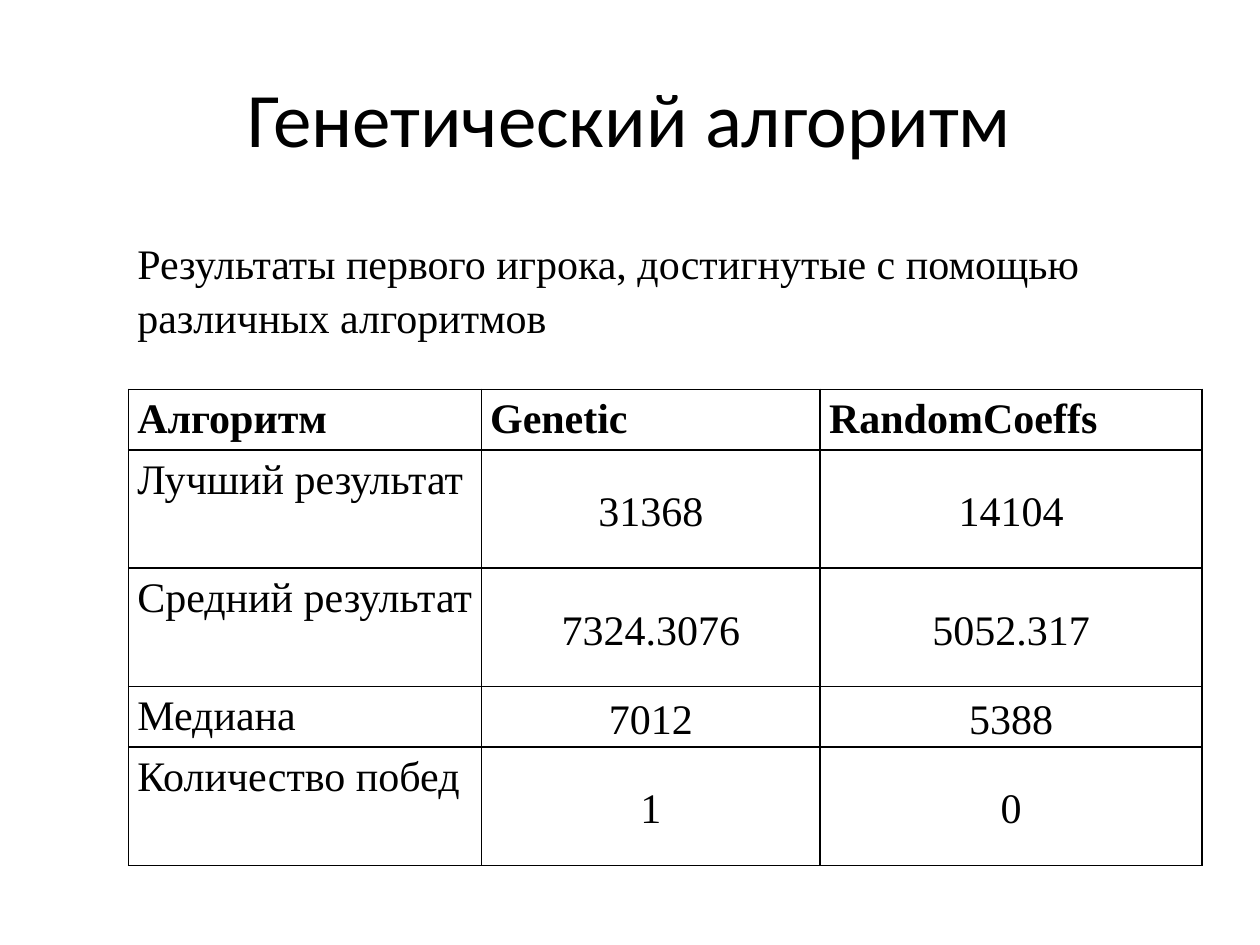
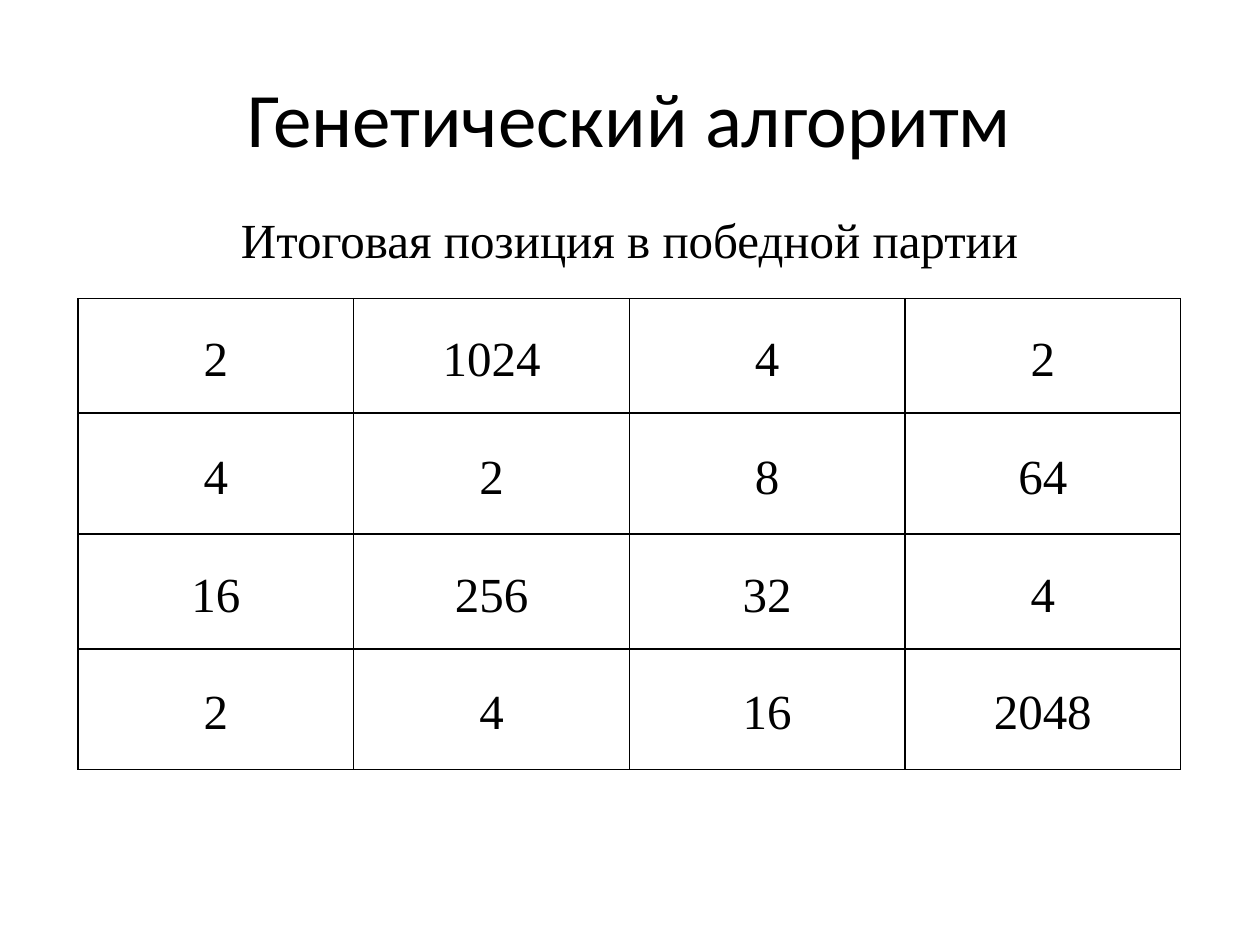
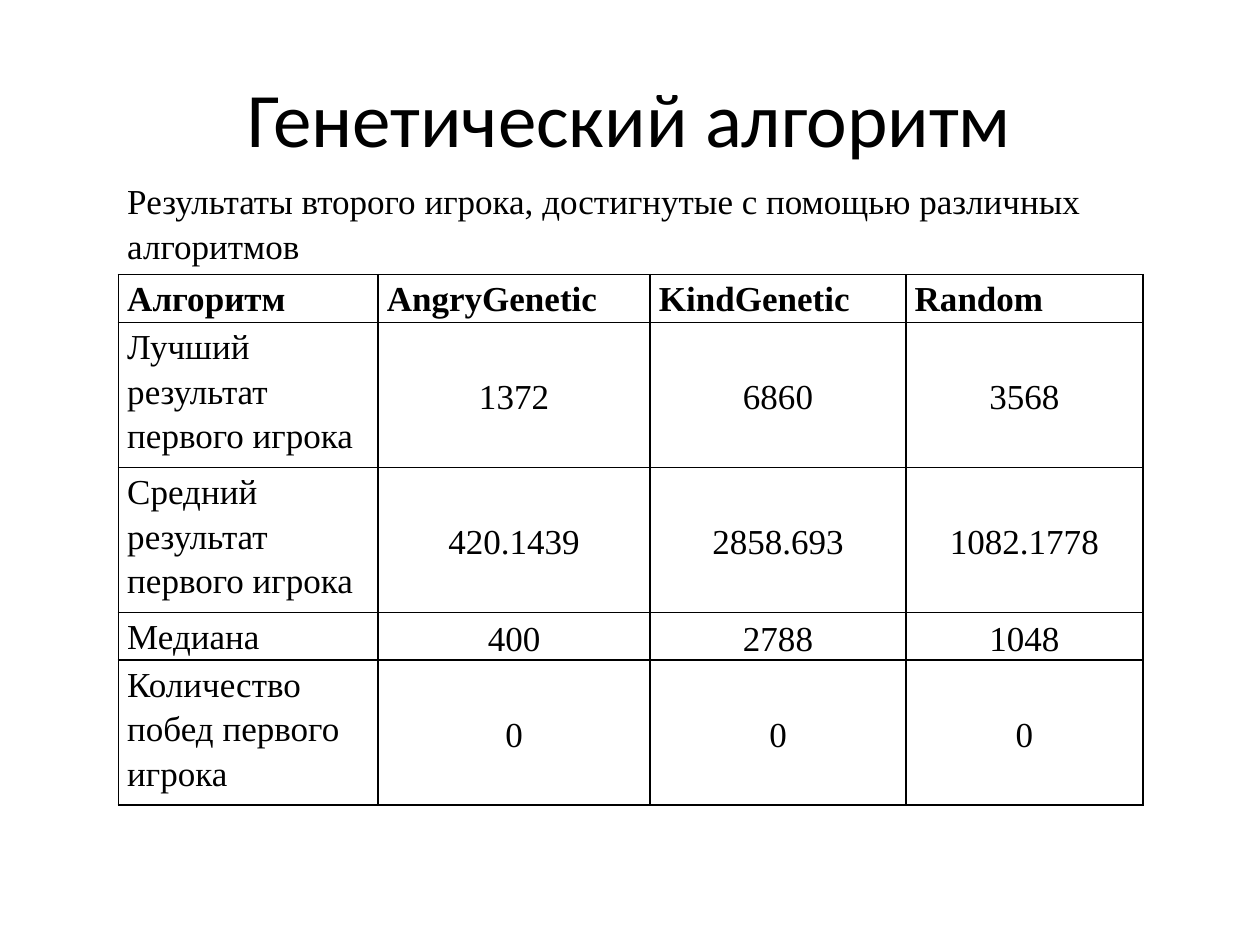
from lxml import etree
from pptx import Presentation
from pptx import util as u
from pptx.dml.color import RGBColor
from pptx.enum import text
from pptx.oxml.ns import qn

BLACK = "000000"
TITLE = "Генетический алгоритм"
NO_GRID_STYLE = "{2D5ABB26-0587-4C30-8999-92F81FD0307C}"


def rgb(color):
    return RGBColor.from_string(color)


def set_attrs(obj, values):
    for name, value in values.items():
        setattr(obj, name, value)


class Deck:
    """Holds the shared style and the current slide."""

    title_font = {"name": "Calibri", "size": u.Pt(44), "bold": False}
    table_font = "Times New Roman"
    margins = {"margin_left": u.Inches(0.07), "margin_right": u.Inches(0.07),
               "margin_top": 0, "margin_bottom": 0}

    def __init__(self):
        self.prs = Presentation()
        set_attrs(self.prs, {"slide_width": u.Inches(10), "slide_height": u.Inches(7.5)})

    def slide(self, title):
        self.s = self.prs.slides.add_slide(self.prs.slide_layouts[5])
        sp = self.s.shapes.title
        set_attrs(sp, {"left": u.Inches(0.5), "top": u.Inches(0.3),
                       "width": u.Inches(9), "height": u.Inches(1.25)})
        tf = sp.text_frame
        tf.text = title
        tf.vertical_anchor = text.MSO_ANCHOR.MIDDLE
        p = tf.paragraphs[0]
        p.alignment = text.PP_ALIGN.CENTER
        self.font(p.runs[0], self.title_font)

    def font(self, r, values):
        set_attrs(r.font, values)
        r.font.color.rgb = rgb(BLACK)

    def borders(self, cell, drawn):
        tc_pr = cell._tc.get_or_add_tcPr()
        for i, side in enumerate("LRTB"):
            ln = etree.Element(qn(f"a:ln{side}"), w=str(u.Pt(1)))
            if side in drawn:
                fill = etree.SubElement(ln, qn("a:solidFill"))
                etree.SubElement(fill, qn("a:srgbClr"), val=BLACK)
            else:
                etree.SubElement(ln, qn("a:noFill"))
            tc_pr.insert(i, ln)

    def cell(self, cell, value, size, bold=False, centred=False):
        set_attrs(cell, self.margins)
        cell.vertical_anchor = text.MSO_ANCHOR.MIDDLE if centred else text.MSO_ANCHOR.TOP
        p = cell.text_frame.paragraphs[0]
        set_attrs(p, {"line_spacing": 1.15,
                      "alignment": text.PP_ALIGN.CENTER if centred else text.PP_ALIGN.LEFT})
        r = p.add_run()
        r.text = value
        self.font(r, {"name": self.table_font, "size": u.Pt(size), "bold": bold})

    def table(self, left, top, widths, heights, caption, rows, size, headed=True):
        frame = self.s.shapes.add_table(
            len(heights), len(widths), u.Inches(left), u.Inches(top),
            u.Inches(sum(widths)), u.Inches(sum(heights)))
        table = frame.table
        set_attrs(table, {"first_row": False, "horz_banding": False})
        table._tbl.tblPr.find(qn("a:tableStyleId")).text = NO_GRID_STYLE
        for column, width in zip(table.columns, widths):
            column.width = u.Inches(width)
        for row, height in zip(table.rows, heights):
            row.height = u.Inches(height)
        for i, row in enumerate(table.rows):
            for cell in row.cells:
                cell.fill.background()
                self.borders(cell, "LRTB" if i else "B")
        table.cell(0, 0).merge(table.cell(0, len(widths) - 1))
        self.cell(table.cell(0, 0), caption, size, centred=not headed)
        for i, row in enumerate(rows):
            header = headed and i == 0
            for j, value in enumerate(row):
                label = headed and (header or j == 0)
                self.cell(table.cell(i + 1, j), value, size, header, not label)


def main():
    deck = Deck()

    deck.slide(TITLE)
    deck.table(
        1.02, 1.87, [2.8, 2.69, 3.03], [1.22, 0.48, 0.94, 0.94, 0.48, 0.94],
        "Результаты первого игрока, достигнутые с помощью различных алгоритмов",
        [["Алгоритм", "Genetic", "RandomCoeffs"],
         ["Лучший результат", "31368", "14104"],
         ["Средний результат", "7324.3076", "5052.317"],
         ["Медиана", "7012", "5388"],
         ["Количество побед", "1", "0"]], 24)

    deck.slide(TITLE)
    deck.table(
        0.62, 1.41, [8.75 / 4] * 4, [0.96, 0.91, 0.96, 0.91, 0.96],
        "Итоговая позиция в победной партии",
        [["2", "1024", "4", "2"],
         ["4", "2", "8", "64"],
         ["16", "256", "32", "4"],
         ["2", "4", "16", "2048"]], 28, headed=False)

    deck.slide(TITLE)
    deck.table(
        0.94, 1.41, [2.06, 2.16, 2.03, 1.88], [0.77, 0.38, 1.15, 1.15, 0.38, 1.15],
        "Результаты второго игрока, достигнутые с помощью различных алгоритмов",
        [["Алгоритм", "AngryGenetic", "KindGenetic", "Random"],
         ["Лучший результат первого игрока", "1372", "6860", "3568"],
         ["Средний результат первого игрока", "420.1439", "2858.693", "1082.1778"],
         ["Медиана", "400", "2788", "1048"],
         ["Количество побед первого игрока", "0", "0", "0"]], 20)

    deck.prs.save("out.pptx")


if __name__ == "__main__":
    main()
